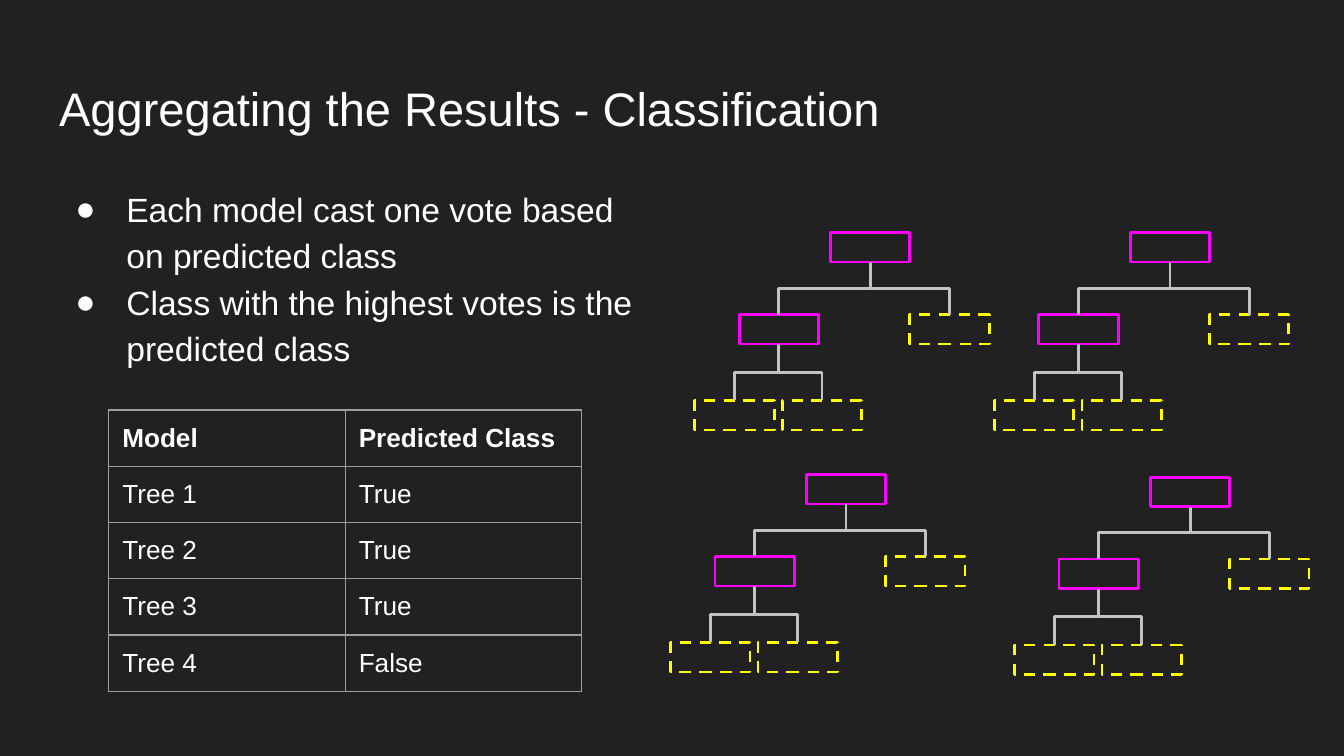
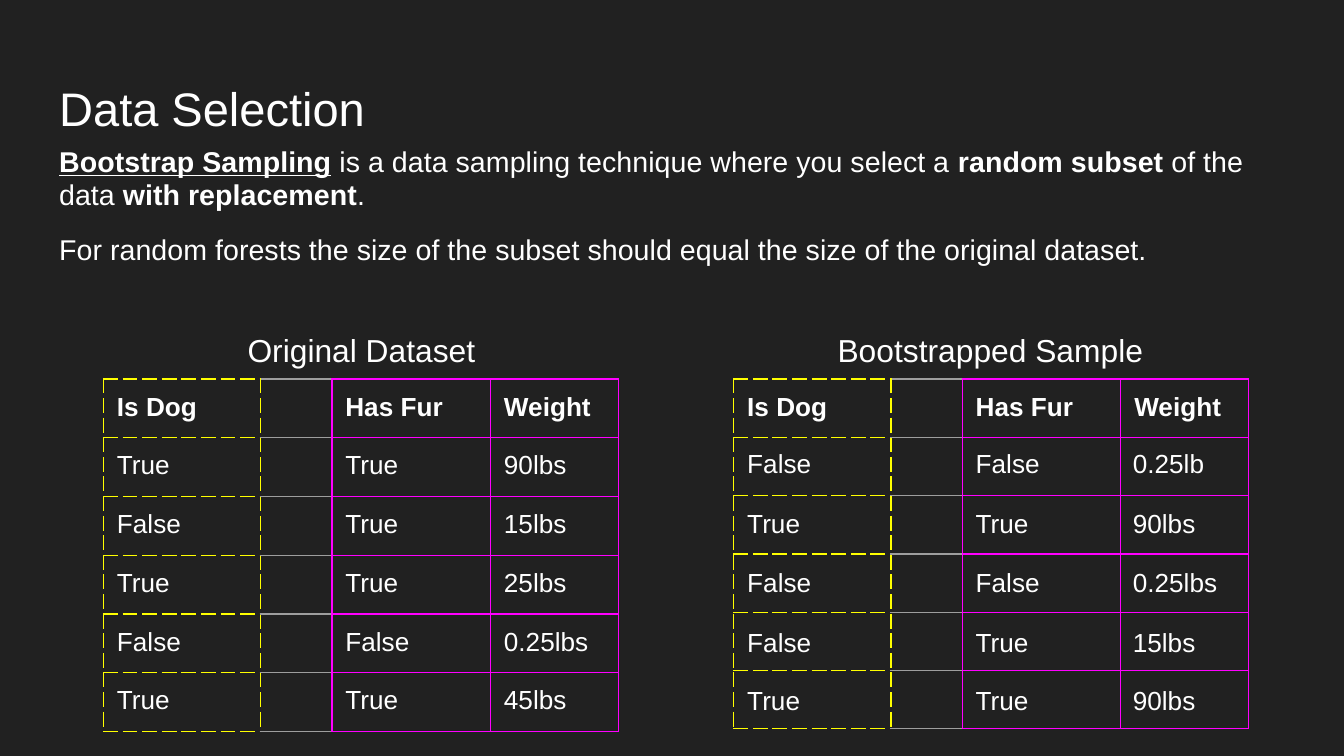
from lxml.etree import SubElement
from pptx import Presentation
from pptx.dml.color import RGBColor
from pptx.enum.dml import MSO_LINE
from pptx.enum.shapes import MSO_CONNECTOR, MSO_SHAPE
from pptx.enum.text import MSO_ANCHOR, MSO_AUTO_SIZE, PP_ALIGN
from pptx.oxml.ns import qn
from pptx.util import Inches, Pt

FONT = "Arial"
BACKGROUND = "212121"
WHITE = "FFFFFF"
GREY = "9E9E9E"
LINK = "C2C2C2"
MAGENTA = "FF00FF"
YELLOW = "FFFF00"
BOTTOM, TOP = 2, 0


def rgb(value):
    return RGBColor.from_string(value)


def box(*lengths):
    return [Inches(n) for n in lengths]


def place(shape, *lengths):
    shape.left, shape.top, shape.width, shape.height = box(*lengths)


class Deck:
    """Holds the shared style and the slide being filled."""

    def __init__(self):
        self.prs = Presentation()
        self.prs.slide_width, self.prs.slide_height = box(10, 5.625)
        fill = self.prs.slide_master.background.fill
        fill.solid()
        fill.fore_color.rgb = rgb(BACKGROUND)

    def slide(self, title):
        self.s = self.prs.slides.add_slide(self.prs.slide_layouts[1])
        shape = self.s.shapes.title
        place(shape, 0.34, 0.49, 9.32, 0.63)
        tf = self.frame(shape)
        tf.text = title
        self.style(tf.paragraphs[0], 25.2)

    def frame(self, shape):
        tf = shape.text_frame
        tf.word_wrap = True
        tf.auto_size = MSO_AUTO_SIZE.NONE
        tf.vertical_anchor = MSO_ANCHOR.TOP
        tf.margin_left = tf.margin_right = Inches(0.1)
        tf.margin_top = tf.margin_bottom = Inches(0.1)
        return tf

    def style(self, p, size, bold=False, align=PP_ALIGN.LEFT, spacing=1.0, before=0, after=0):
        p.alignment, p.line_spacing = align, spacing
        p.space_before, p.space_after = Pt(before), Pt(after)
        for r in p.runs:
            r.font.size, r.font.name, r.font.bold = Pt(size), FONT, bold
            r.font.color.rgb = rgb(WHITE)

    def body(self, at):
        shape = self.s.placeholders[1]
        place(shape, *at)
        return self.frame(shape)

    def bullets(self, at, items):
        tf = self.body(at)
        tf.text = "\n".join(items)
        for p in tf.paragraphs:
            self.style(p, 18, spacing=1.15)
            pPr = p._p.get_or_add_pPr()
            pPr.set("marL", str(Inches(0.5)))
            pPr.set("indent", str(Inches(-0.38)))
            SubElement(SubElement(pPr, qn("a:buClr")), qn("a:srgbClr"), val=WHITE)
            SubElement(pPr, qn("a:buChar"), char="●")

    def prose(self, at, paragraphs):
        """Unbulleted paragraphs, each a list of (text, marks); marks are b and u."""
        tf = self.body(at)
        for i, runs in enumerate(paragraphs):
            p = tf.add_paragraph() if i else tf.paragraphs[0]
            for text, _ in runs:
                p.add_run().text = text
            gap = 12 if i else 0
            self.style(p, 15.3, spacing=0.95, before=gap, after=gap)
            for r, (_, marks) in zip(p.runs, runs):
                r.font.bold, r.font.underline = "b" in marks, "u" in marks
            pPr = p._p.get_or_add_pPr()
            pPr.set("marL", "0")
            pPr.set("indent", "0")
            SubElement(pPr, qn("a:buNone"))

    def caption(self, left, text):
        tf = self.frame(self.s.shapes.add_textbox(*box(left, 2.32, 3.28, 0.49)))
        tf.auto_size = MSO_AUTO_SIZE.SHAPE_TO_FIT_TEXT
        tf.text = text
        self.style(tf.paragraphs[0], 17, align=PP_ALIGN.CENTER, spacing=1.15, after=12)

    def table(self, left, top, height, widths, rows, borders, header=True):
        """Borders has one entry per column: colours of L, R, T, B, where None is no line."""
        frame = self.s.shapes.add_table(
            len(rows), len(widths), *box(left, top, sum(widths), height))
        table = frame.table
        table.first_row = table.horz_banding = False
        for column, width in zip(table.columns, widths):
            column.width = Inches(width)
        for i, row in enumerate(rows):
            table.rows[i].height = Inches(height / len(rows))
            for j, text in enumerate(row):
                cell = table.cell(i, j)
                cell.margin_left = cell.margin_right = Inches(0.1)
                cell.margin_top = cell.margin_bottom = Inches(0.1)
                p = cell.text_frame.paragraphs[0]
                if text:
                    p.text = text
                    self.style(p, 14, bold=header and i == 0)
                else:
                    SubElement(p._p, qn("a:endParaRPr"), sz="1400")
                self.borders(cell, borders[j])
                cell.fill.background()

    def borders(self, cell, colours):
        tcPr = cell._tc.get_or_add_tcPr()
        for side, colour in zip("LRTB", colours):
            ln = SubElement(tcPr, qn(f"a:ln{side}"), w=str(Pt(0.75)))
            if colour is None:
                SubElement(ln, qn("a:noFill"))
                continue
            SubElement(SubElement(ln, qn("a:solidFill")), qn("a:srgbClr"), val=colour)
            SubElement(ln, qn("a:prstDash"), val="dash" if colour == YELLOW else "solid")

    def node(self, left, top, leaf=False):
        shape = self.s.shapes.add_shape(MSO_SHAPE.RECTANGLE, *box(left, top, 0.59, 0.22))
        shape.shadow.inherit = False
        shape.fill.background()
        shape.line.color.rgb = rgb(YELLOW if leaf else MAGENTA)
        shape.line.width = Pt(1.5)
        if leaf:
            shape.line.dash_style = MSO_LINE.DASH
        return shape

    def branch(self, parent, child):
        """Elbow between parent bottom and child top, running from left to right."""
        to_right = child.left > parent.left
        ends = [(parent, BOTTOM), (child, TOP)]
        begin, end = ends if to_right else reversed(ends)
        link = self.s.shapes.add_connector(MSO_CONNECTOR.ELBOW, 0, 0, 0, 0)
        link.begin_connect(*begin)
        link.end_connect(*end)
        start = parent.top + parent.height
        drop, run = child.top - start, abs(child.left - parent.left)
        middle = (parent.left + child.left + parent.width) // 2
        # The frame is turned by 270 degrees, so its width is the drop.
        link.left, link.top = middle - drop // 2, start + (drop - run) // 2
        link.width, link.height = drop, run
        xfrm = link._element.spPr.xfrm
        xfrm.set("rot", "16200000")
        xfrm.set("flipH", str(int(to_right)))
        xfrm.set("flipV", "0")
        link.line.color.rgb = rgb(LINK)
        link.line.width = Pt(1.5)
        SubElement(link._element.spPr, qn("a:effectLst"))

    def tree(self, left, top):
        root = self.node(left, top)
        split = self.node(left - 0.68, top + 0.61)
        self.branch(root, split)
        self.branch(root, self.node(left + 0.59, top + 0.61, leaf=True))
        for offset in (-0.36, -1.01):
            self.branch(split, self.node(left + offset, top + 1.25, leaf=True))


def classification(deck):
    deck.slide("Aggregating the Results - Classification")
    deck.bullets((0.34, 1.26, 4.66, 3.74), [
        "Each model cast one vote based on predicted class",
        "Class with the highest votes is the predicted class"])
    for left, top in ((8.56, 3.55), (6, 3.53), (6.18, 1.73), (8.41, 1.73)):
        deck.tree(left, top)
    votes = ["True", "True", "True", "False"]
    rows = [["Model", "Predicted Class"]]
    rows += [[f"Tree {i}", vote] for i, vote in enumerate(votes, 1)]
    deck.table(0.81, 3.05, 2.09, [1.76] * 2, rows, [[GREY] * 4] * 2)


def data_selection(deck):
    deck.slide("Data Selection")
    deck.prose((0.34, 0.99, 9.32, 1.31), [
        [("Bootstrap Sampling", "bu"),
         (" is a data sampling technique where you select a ", ""),
         ("random subset", "b"), (" of the data ", ""),
         ("with replacement", "b"), (".", "")],
        [("For random forests the size of the subset should equal "
          "the size of the original dataset.", "")]])
    header = ["Is Dog", "", "Has Fur", "Weight"]
    dataset = [["True", "", "True", "90lbs"],
               ["False", "", "True", "15lbs"],
               ["True", "", "True", "25lbs"],
               ["False", "", "False", "0.25lbs"],
               ["True", "", "True", "45lbs"]]
    sample = [["False", "", "False", "0.25lb"],
              ["True", "", "True", "90lbs"],
              ["False", "", "False", "0.25lbs"],
              ["False", "", "True", "15lbs"],
              ["True", "", "True", "90lbs"]]
    widths = [1.17, 0.53, 1.18, 0.95]
    borders = [[YELLOW] * 4, [YELLOW, MAGENTA, GREY, GREY], [MAGENTA] * 4, [MAGENTA] * 4]
    deck.table(0.77, 2.82, 2.56, widths, [header] + dataset, borders)
    deck.caption(1.05, "Original Dataset")
    deck.table(5.46, 2.82, 2.6, widths, [header] + [[""] * 4] * len(sample), borders)
    deck.caption(5.73, "Bootstrapped Sample")
    for top, row in zip((3.25, 3.69, 4.13, 4.58, 5.01), sample):
        deck.table(5.46, top, 0.43, [1.17, 0.53, 1.17, 0.96], [row],
                   [[None] * 4] * 4, header=False)


def main():
    deck = Deck()
    classification(deck)
    data_selection(deck)
    deck.prs.save("out.pptx")


if __name__ == "__main__":
    main()
